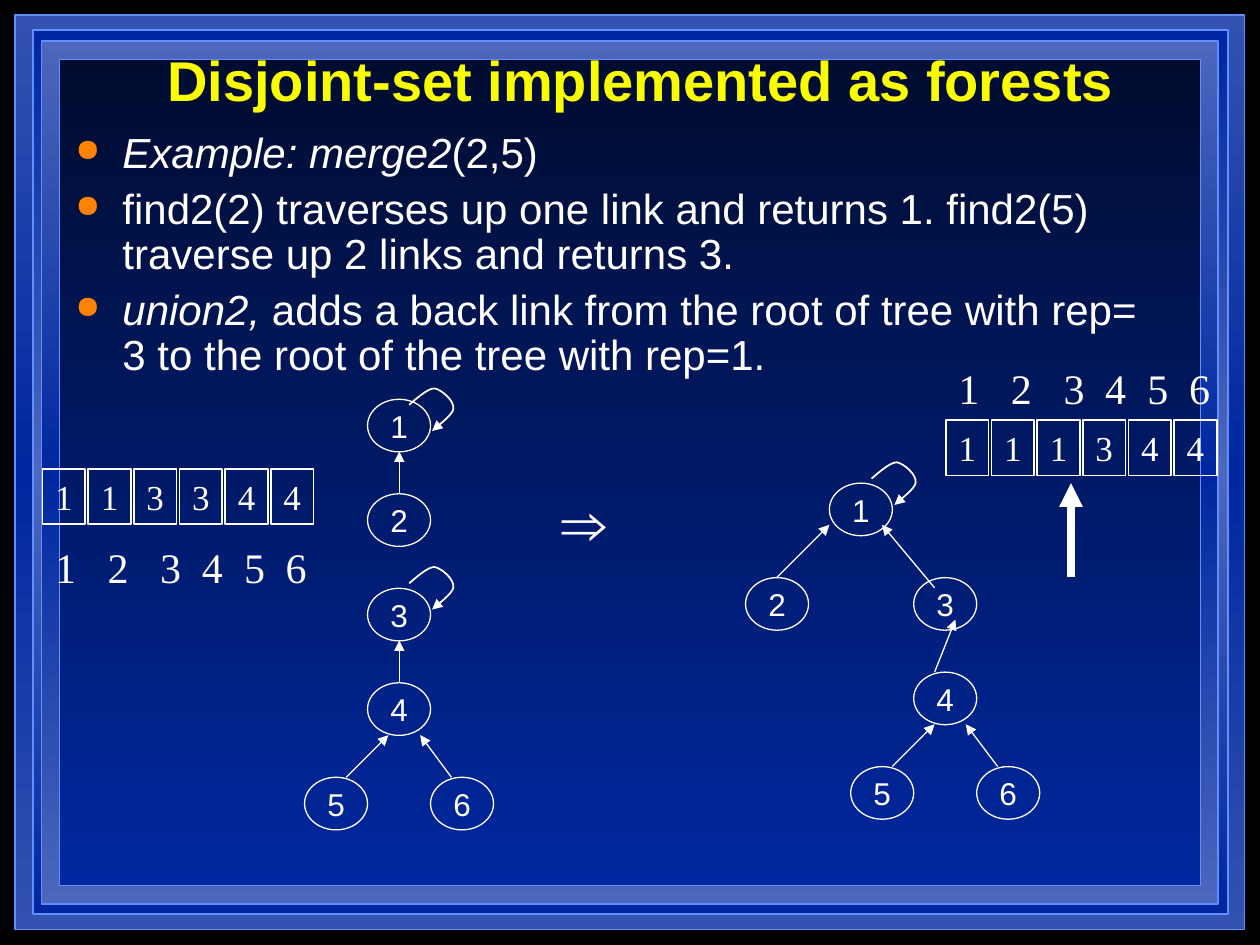
import pptx
import pptx.util
import pptx.dml.color
import pptx.enum.shapes
import pptx.enum.text
import pptx.oxml.ns
import lxml.etree

Cm = pptx.util.Cm
Pt = pptx.util.Pt
RGBColor = pptx.dml.color.RGBColor
MSO_SHAPE = pptx.enum.shapes.MSO_SHAPE
MSO_ANCHOR = pptx.enum.text.MSO_ANCHOR
PP_ALIGN = pptx.enum.text.PP_ALIGN
qn = pptx.oxml.ns.qn
SubElement = lxml.etree.SubElement

BLACK = RGBColor(0x00, 0x00, 0x00)
WHITE = RGBColor(0xFF, 0xFF, 0xFF)
YELLOW = RGBColor(0xFA, 0xFD, 0x00)
ORANGE = RGBColor(0xFF, 0x82, 0x03)
NIGHT = RGBColor(0x00, 0x0C, 0x2F)
BLUE = RGBColor(0x00, 0x27, 0x9F)
MID_BLUE = RGBColor(0x33, 0x52, 0xB2)
PALE_BLUE = RGBColor(0x4C, 0x67, 0xBC)
EDGE_BLUE = RGBColor(0x61, 0x8F, 0xFD)


def add_run(paragraph, text, size=18, font="Arial", color=WHITE, bold=False, italic=False):
    run = paragraph.add_run()
    run.text = text
    run.font.size = Pt(size)
    run.font.name = font
    run.font.color.rgb = color
    run.font.bold = bold
    run.font.italic = italic


def add_outlined(kind, left, top, width, height, weight, label, **label_format):
    shape = slide.shapes.add_shape(kind, Cm(left), Cm(top), Cm(width), Cm(height))
    shape.shadow.inherit = False
    shape.fill.background()
    shape.line.color.rgb = WHITE
    shape.line.width = Pt(weight)
    frame = shape.text_frame
    frame.margin_left = frame.margin_right = frame.margin_top = frame.margin_bottom = 0
    frame.vertical_anchor = MSO_ANCHOR.MIDDLE
    frame.word_wrap = False
    frame.paragraphs[0].alignment = PP_ALIGN.CENTER
    add_run(frame.paragraphs[0], label, **label_format)


presentation = pptx.Presentation()
presentation.slide_width = Cm(25.4)
presentation.slide_height = Cm(19.05)
slide = presentation.slides.add_slide(presentation.slide_layouts[5])
slide.background.fill.solid()
slide.background.fill.fore_color.rgb = BLACK

borders = [
    (0.3, 0.3, 24.79, 18.44, [MID_BLUE, BLUE, MID_BLUE]),
    (0.66, 0.61, 24.1, 17.81, [BLUE, PALE_BLUE, BLUE]),
    (0.84, 0.83, 23.72, 17.4, [PALE_BLUE, BLUE, PALE_BLUE]),
    (1.2, 1.2, 23.0, 16.65, [NIGHT, BLUE]),
]
for left, top, width, height, colors in borders:
    border = slide.shapes.add_shape(MSO_SHAPE.RECTANGLE, Cm(left), Cm(top), Cm(width), Cm(height))
    border.shadow.inherit = False
    border.line.color.rgb = EDGE_BLUE
    border.line.width = Pt(1)
    border.fill.gradient()
    border.fill.gradient_angle = 270
    stops = border.element.xpath(".//a:gsLst")[0]
    for stop in list(stops):
        stops.remove(stop)
    for index, color in enumerate(colors):
        stop = SubElement(stops, qn("a:gs"), pos=str(100000 * index // (len(colors) - 1)))
        SubElement(stop, qn("a:srgbClr"), val=str(color))

title = slide.shapes.title
title.element.getparent().append(title.element)
title.left, title.top, title.width, title.height = Cm(2.34), Cm(0.64), Cm(21.16), Cm(1.9)
title.text_frame.vertical_anchor = MSO_ANCHOR.MIDDLE
title.text_frame.paragraphs[0].alignment = PP_ALIGN.CENTER
add_run(title.text_frame.paragraphs[0], "Disjoint-set implemented as forests",
        size=32, color=YELLOW, bold=True)

steps = [
    [("Example: merge2", True), ("(2,5)", False)],
    [("find2(2) traverses up one link and returns 1. find2(5) traverse up 2 links and returns 3.", False)],
    [("union2, ", True),
     ("adds a back link from the root of tree with rep= 3 to the root of the tree with rep=1.", False)],
]
explanation = slide.shapes.add_textbox(Cm(1.27), Cm(2.54), Cm(22.02), Cm(5.72)).text_frame
explanation.word_wrap = True
for index, step in enumerate(steps):
    paragraph = explanation.add_paragraph() if index else explanation.paragraphs[0]
    paragraph.line_spacing = 0.9
    paragraph.space_before = Pt(6)
    for text, italic in step:
        add_run(paragraph, text, size=24, italic=italic)
    properties = paragraph.element.get_or_add_pPr() if hasattr(paragraph, "element") else paragraph._p.get_or_add_pPr()
    properties.set("marL", str(Cm(0.95)))
    properties.set("indent", str(-Cm(0.95)))
    bullet_color = SubElement(properties, qn("a:buClr"))
    SubElement(bullet_color, qn("a:srgbClr"), val=str(ORANGE))
    SubElement(properties, qn("a:buSzPct"), val="75000")
    SubElement(properties, qn("a:buChar"), char="●")

row_pitch = 1.905
forests = [
    (8.05, [("1", 7.41, 0), ("2", 7.41, 1), ("3", 7.41, 2), ("4", 7.41, 3), ("5", 6.14, 4), ("6", 8.68, 4)]),
    (9.74, [("1", 16.72, 0), ("2", 15.03, 1), ("3", 18.42, 1), ("4", 18.42, 2), ("5", 17.15, 3), ("6", 19.69, 3)]),
]
for forest_top, nodes in forests:
    for label, left, row in nodes:
        add_outlined(MSO_SHAPE.OVAL, left, forest_top + row * row_pitch, 1.27, 1.06, 0.75, label)

links = [
    (8.05, 9.95, 8.05, 9.1, 0.75),
    (8.05, 13.76, 8.05, 12.91, 0.75),
    (6.98, 15.67, 7.83, 14.82, 0.75),
    (9.1, 15.67, 8.47, 14.82, 0.75),
    (15.66, 11.64, 16.72, 10.58, 0.75),
    (18.84, 11.85, 17.78, 10.58, 0.75),
    (18.84, 13.55, 19.26, 12.49, 0.75),
    (17.99, 15.45, 18.84, 14.6, 0.75),
    (20.11, 15.45, 19.47, 14.6, 0.75),
    (21.59, 11.64, 21.59, 9.74, 4.5),
]
for x1, y1, x2, y2, weight in links:
    link = slide.shapes.add_connector(pptx.enum.shapes.MSO_CONNECTOR.STRAIGHT, Cm(x1), Cm(y1), Cm(x2), Cm(y2))
    link.line.color.rgb = WHITE
    link.line.width = Pt(weight)
    SubElement(link.line._get_or_add_ln(), qn("a:tailEnd"), type="triangle")
    SubElement(link.element.spPr, qn("a:effectLst"))

loop_curves = [
    [(0.46, 0.86), (0.53, 0.79), (0.89, 0.53), (0.89, 0.41)],
    [(0.89, 0.41), (0.91, 0.25), (0.66, 0.03), (0.51, 0)],
    [(0.51, 0), (0.36, 0), (0.1, 0.25), (0, 0.33)],
]
loop_points = []
for curve in loop_curves:
    for t in [step / 8 for step in range(1, 9)]:
        weights = [(1 - t) ** 3, 3 * t * (1 - t) ** 2, 3 * t ** 2 * (1 - t), t ** 3]
        loop_points.append([sum(w * point[axis] for w, point in zip(weights, curve)) for axis in (0, 1)])
for left, top in [(8.25, 7.83), (8.25, 11.43), (17.57, 9.32)]:
    outline = slide.shapes.build_freeform(Cm(left + 0.46), Cm(top + 0.86))
    outline.add_line_segments([(Cm(left + x), Cm(top + y)) for x, y in loop_points], close=False)
    root_loop = outline.convert_to_shape()
    root_loop.shadow.inherit = False
    root_loop.fill.background()
    root_loop.line.color.rgb = WHITE
    root_loop.line.width = Pt(1)
    SubElement(root_loop.line._get_or_add_ln(), qn("a:headEnd"), type="triangle")

implies = slide.shapes.add_textbox(Cm(11.07), Cm(9.63), Cm(1.52), Cm(1.78)).text_frame
add_run(implies.paragraphs[0], "⇒", size=36)

parent_arrays = [("113344", 0.86, 9.45, 10.8), ("111344", 19.07, 8.47, 7.19)]
for parents, array_left, array_top, index_top in parent_arrays:
    for position, parent in enumerate(parents):
        add_outlined(MSO_SHAPE.RECTANGLE, array_left + 0.92 * position, array_top, 0.86, 1.12, 1,
                     parent, size=20, font="Times New Roman")
    indices = slide.shapes.add_textbox(Cm(array_left), Cm(index_top), Cm(5.59), Cm(1.27)).text_frame
    indices.word_wrap = True
    indices.margin_right = 0
    add_run(indices.paragraphs[0], "1\t2\t3\t4\t5\t6", size=24, font="Times New Roman")
    tab_list = SubElement(indices.paragraphs[0]._p.get_or_add_pPr(), qn("a:tabLst"))
    for tab in (1.06, 2.12, 2.96, 3.81, 4.65):
        SubElement(tab_list, qn("a:tab"), pos=str(Cm(tab)), algn="l")

presentation.save("out.pptx")
